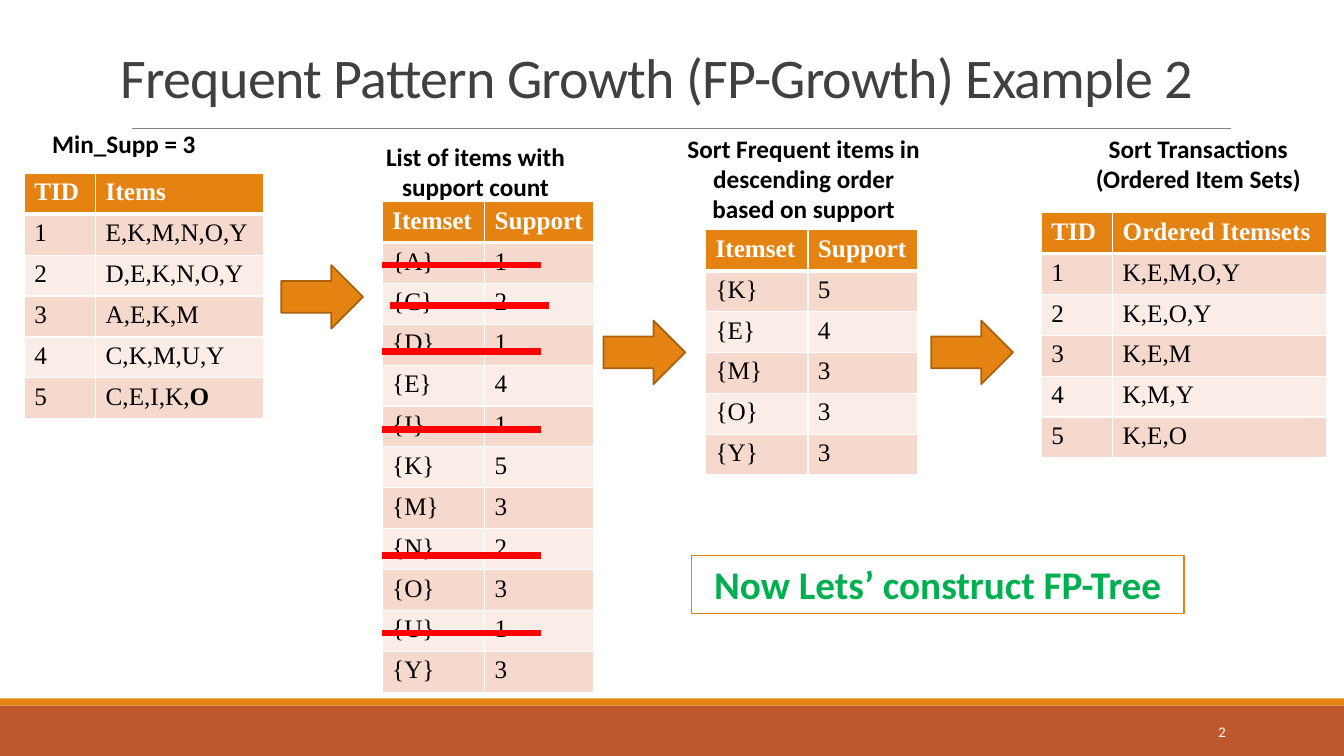
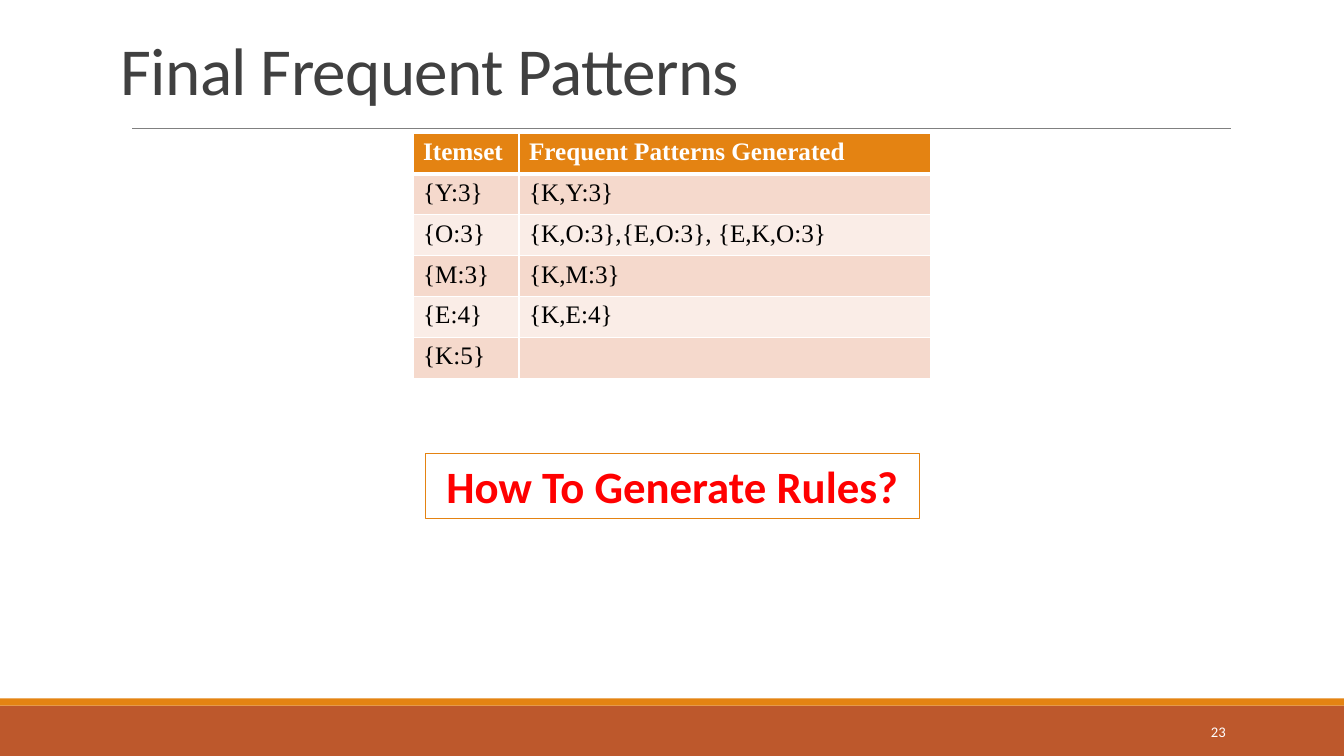
from dataclasses import dataclass

from lxml import etree
from pptx import Presentation
from pptx.dml.color import RGBColor
from pptx.enum.shapes import MSO_CONNECTOR, MSO_SHAPE
from pptx.enum.text import MSO_ANCHOR, MSO_AUTO_SIZE, PP_ALIGN
from pptx.oxml.ns import qn
from pptx.util import Cm, Pt

RECT, ARROW = MSO_SHAPE.RECTANGLE, MSO_SHAPE.RIGHT_ARROW
STRAIGHT = MSO_CONNECTOR.STRAIGHT
LEFT, CENTER, RIGHT = PP_ALIGN.LEFT, PP_ALIGN.CENTER, PP_ALIGN.RIGHT
MIDDLE, BOTTOM = MSO_ANCHOR.MIDDLE, MSO_ANCHOR.BOTTOM
FIT_SHAPE, FIT_NONE = MSO_AUTO_SIZE.SHAPE_TO_FIT_TEXT, MSO_AUTO_SIZE.NONE

COLORS = {
    "orange": "E48312", "rust": "BD582C", "arrow_edge": "A9610D",
    "rule": "808080", "title": "404040", "black": "000000",
    "white": "FFFFFF", "red": "FF0000", "green": "00B050",
    "odd_row": "F5D9CC", "even_row": "FAEDE7",
}
BODY_FONT, TABLE_FONT = "Calibri", "Times New Roman"
SLIDE_W, SLIDE_H = 33.87, 19.05
ROW_H = 1.03
ITEMSET_COLS = (2.58, 2.76)
STRIKE_LEFT, STRIKE_W = 9.63, 4.01


@dataclass
class Box:
    left: float
    top: float
    width: float
    height: float

    def lengths(self) -> tuple:
        return Cm(self.left), Cm(self.top), Cm(self.width), Cm(self.height)


@dataclass
class TableData:
    left: float
    top: float
    cols: tuple
    rows: list


@dataclass
class Label:
    box: Box
    text: str
    size: float = 18
    color: str = "black"


TRANSACTIONS = TableData(0.61, 4.37, (1.8, 4.24), [
    ("TID", "Items"), ("1", "E,K,M,N,O,Y"), ("2", "D,E,K,N,O,Y"),
    ("3", "A,E,K,M"), ("4", "C,K,M,U,Y"), ("5", "C,E,I,K,")])
SUPPORT_COUNTS = TableData(9.63, 5.08, ITEMSET_COLS, [
    ("Itemset", "Support"), ("{A}", "1"), ("{C}", "2"), ("{D}", "1"),
    ("{E}", "4"), ("{I}", "1"), ("{K}", "5"), ("{M}", "3"), ("{N}", "2"),
    ("{O}", "3"), ("{U}", "1"), ("{Y}", "3")])
SORTED_ITEMS = TableData(17.78, 5.79, ITEMSET_COLS, [
    ("Itemset", "Support"), ("{K}", "5"), ("{E}", "4"), ("{M}", "3"),
    ("{O}", "3"), ("{Y}", "3")])
ORDERED_ITEMSETS = TableData(26.24, 5.36, (1.8, 5.4), [
    ("TID", "Ordered Itemsets"), ("1", "K,E,M,O,Y"), ("2", "K,E,O,Y"),
    ("3", "K,E,M"), ("4", "K,M,Y"), ("5", "K,E,O")])
FINAL_PATTERNS = TableData(10.41, 3.35, (2.67, 10.37), [
    ("Itemset", "Frequent Patterns Generated"), ("{Y:3}", "{K,Y:3}"),
    ("{O:3}", "{K,O:3},{E,O:3}, {E,K,O:3}"), ("{M:3}", "{K,M:3}"),
    ("{E:4}", "{K,E:4}"), ("{K:5}", "")])

CAPTIONS = [
    Label(Box(0.61, 3.12, 5.03, 1.02), "Min_Supp = 3"),
    Label(Box(9.47, 3.43, 5.03, 1.8), "List of items with support count"),
    Label(Box(17.04, 3.23, 6.43, 2.57),
          "Sort Frequent items in descending order based on support"),
    Label(Box(27.15, 3.23, 6.1, 1.8), "Sort Transactions (Ordered Item Sets)"),
]
ARROWS = [(7.09, 6.68), (15.21, 8.08), (23.47, 8.08)]
STRIKES = [(STRIKE_LEFT, y) for y in (6.68, 8.86, 10.82, 14, 15.95)]
STRIKES.append((STRIKE_LEFT + 0.2, 7.7))


def rgb(name: str) -> RGBColor:
    return RGBColor.from_string(COLORS[name])


def style_paragraph(p, size: float, color: str, bold: bool = False,
                    align=LEFT, font: str = BODY_FONT) -> None:
    p.alignment = align
    p.font.name, p.font.size, p.font.bold = font, Pt(size), bold
    p.font.color.rgb = rgb(color)


def add_filled(s, kind, box: Box, fill: str | None, line: str | None = None,
               line_pt: float = 1):
    sp = s.shapes.add_shape(kind, *box.lengths())
    sp.shadow.inherit = False
    if fill:
        sp.fill.solid()
        sp.fill.fore_color.rgb = rgb(fill)
    else:
        sp.fill.background()
    if line:
        sp.line.color.rgb = rgb(line)
        sp.line.width = Pt(line_pt)
    else:
        sp.line.fill.background()
    return sp


def add_line(s, left: float, top: float, width: float, color: str,
             weight: float) -> None:
    line = s.shapes.add_connector(STRAIGHT, Cm(left), Cm(top),
                                  Cm(left + width), Cm(top))
    line.line.color.rgb = rgb(color)
    line.line.width = Pt(weight)
    etree.SubElement(line._element.spPr, qn("a:effectLst"))


def write_label(sp, label: Label) -> None:
    tf = sp.text_frame
    tf.word_wrap, tf.auto_size = True, FIT_SHAPE
    tf.text = label.text
    style_paragraph(tf.paragraphs[0], label.size, label.color, True, CENTER)


def add_caption(s, label: Label) -> None:
    write_label(s.shapes.add_textbox(*label.box.lengths()), label)


def add_callout(s, label: Label) -> None:
    write_label(add_filled(s, RECT, label.box, None, "orange", 0.75), label)


def set_borders(cell, row: int) -> None:
    """White grid lines, heavier between the header and the body."""
    tc_pr = cell._tc.get_or_add_tcPr()
    weights = {"L": 1, "R": 1, "T": 3 if row == 1 else 1,
               "B": 3 if row == 0 else 1}
    for side, weight in weights.items():
        ln = etree.SubElement(tc_pr, qn(f"a:ln{side}"), w=str(Pt(weight)))
        fill = etree.SubElement(ln, qn("a:solidFill"))
        etree.SubElement(fill, qn("a:srgbClr"), val=COLORS["white"])


def add_grid(s, data: TableData):
    n = len(data.rows)
    box = Box(data.left, data.top, sum(data.cols), n * ROW_H)
    table = s.shapes.add_table(n, len(data.cols), *box.lengths()).table
    table.horz_banding = False
    for col, width in zip(table.columns, data.cols):
        col.width = Cm(width)
    for i, row in enumerate(data.rows):
        table.rows[i].height = Cm(ROW_H)
        header = i == 0
        fill = "orange" if header else "odd_row" if i % 2 else "even_row"
        for j, text in enumerate(row):
            cell = table.cell(i, j)
            set_borders(cell, i)
            cell.fill.solid()
            cell.fill.fore_color.rgb = rgb(fill)
            cell.text = text
            style_paragraph(cell.text_frame.paragraphs[0], 18,
                            "white" if header else "black", header,
                            font=TABLE_FONT)
    return table


def add_base_slide(prs, title: str, title_size: float, title_width: float,
                   number: int):
    """Title-only slide with the bands, rule and page number."""
    s = prs.slides.add_slide(prs.slide_layouts[5])
    add_filled(s, RECT, Box(0, 17.78, SLIDE_W, 1.27), "rust")
    add_filled(s, RECT, Box(0, 17.6, SLIDE_W, 0.18), "orange")
    add_line(s, 3.33, 3.23, 27.68, "rule", 0.5)

    sp = s.shapes.title
    sp.left, sp.top, sp.width, sp.height = Box(
        2.79, 0.15, title_width, 2.74).lengths()
    tf = sp.text_frame
    tf.vertical_anchor, tf.auto_size, tf.word_wrap = BOTTOM, FIT_NONE, True
    p = tf.paragraphs[0]
    r = p.add_run()
    r.text = title
    r._r.get_or_add_rPr().set("spc", "-50")
    p.line_spacing = 0.85
    style_paragraph(p, title_size, "title")

    tf = s.shapes.add_textbox(*Box(27.51, 17.93, 3.63, 1.02).lengths()).text_frame
    tf.word_wrap, tf.vertical_anchor = True, MIDDLE
    tf.text = str(number)
    style_paragraph(tf.paragraphs[0], 10.5, "white", align=RIGHT)
    return s


def build_example(prs) -> None:
    s = add_base_slide(prs, "Frequent Pattern Growth (FP-Growth) Example 2",
                       40, 27.94, 2)
    transactions = add_grid(s, TRANSACTIONS)
    r = transactions.cell(5, 1).text_frame.paragraphs[0].add_run()
    r.text, r.font.bold = "O", True
    for data in (SUPPORT_COUNTS, SORTED_ITEMS, ORDERED_ITEMSETS):
        add_grid(s, data)
    for caption in CAPTIONS:
        add_caption(s, caption)
    for left, top in ARROWS:
        add_filled(s, ARROW, Box(left, top, 2.06, 1.6), "orange",
                   "arrow_edge", 1.25)
    for left, top in STRIKES:
        add_line(s, left, top, STRIKE_W, "red", 4.5)
    add_callout(s, Label(Box(17.42, 14, 12.42, 1.45),
                         "Now Lets’ construct FP-Tree", 28, "green"))


def build_final_patterns(prs) -> None:
    s = add_base_slide(prs, "Final Frequent Patterns", 48, 29.82, 23)
    add_grid(s, FINAL_PATTERNS)
    add_callout(s, Label(Box(10.72, 11.43, 12.45, 1.63),
                         "How To Generate Rules?", 32, "red"))


def main() -> None:
    prs = Presentation()
    prs.slide_width, prs.slide_height = Cm(SLIDE_W), Cm(SLIDE_H)
    build_example(prs)
    build_final_patterns(prs)
    prs.save("out.pptx")


if __name__ == "__main__":
    main()
